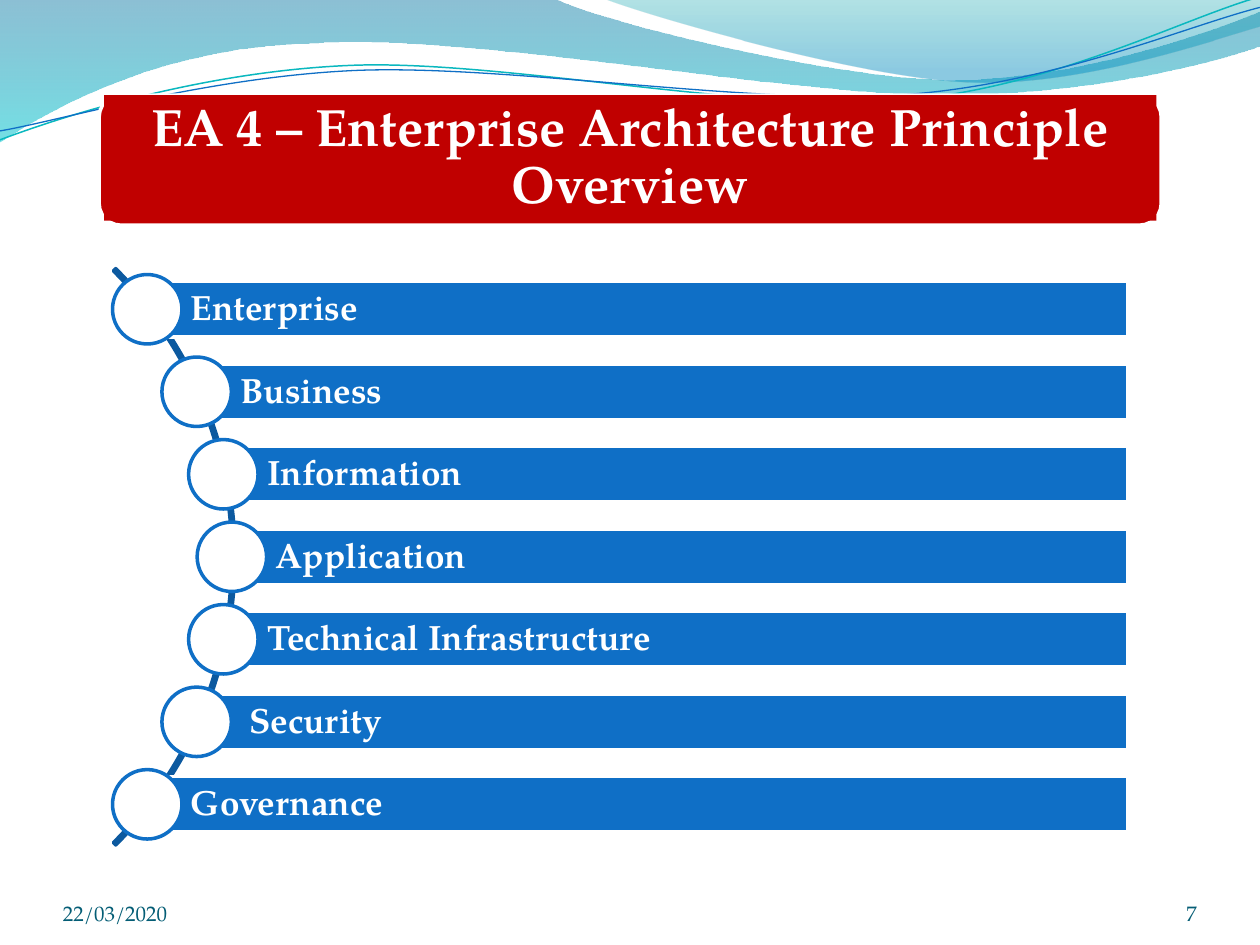
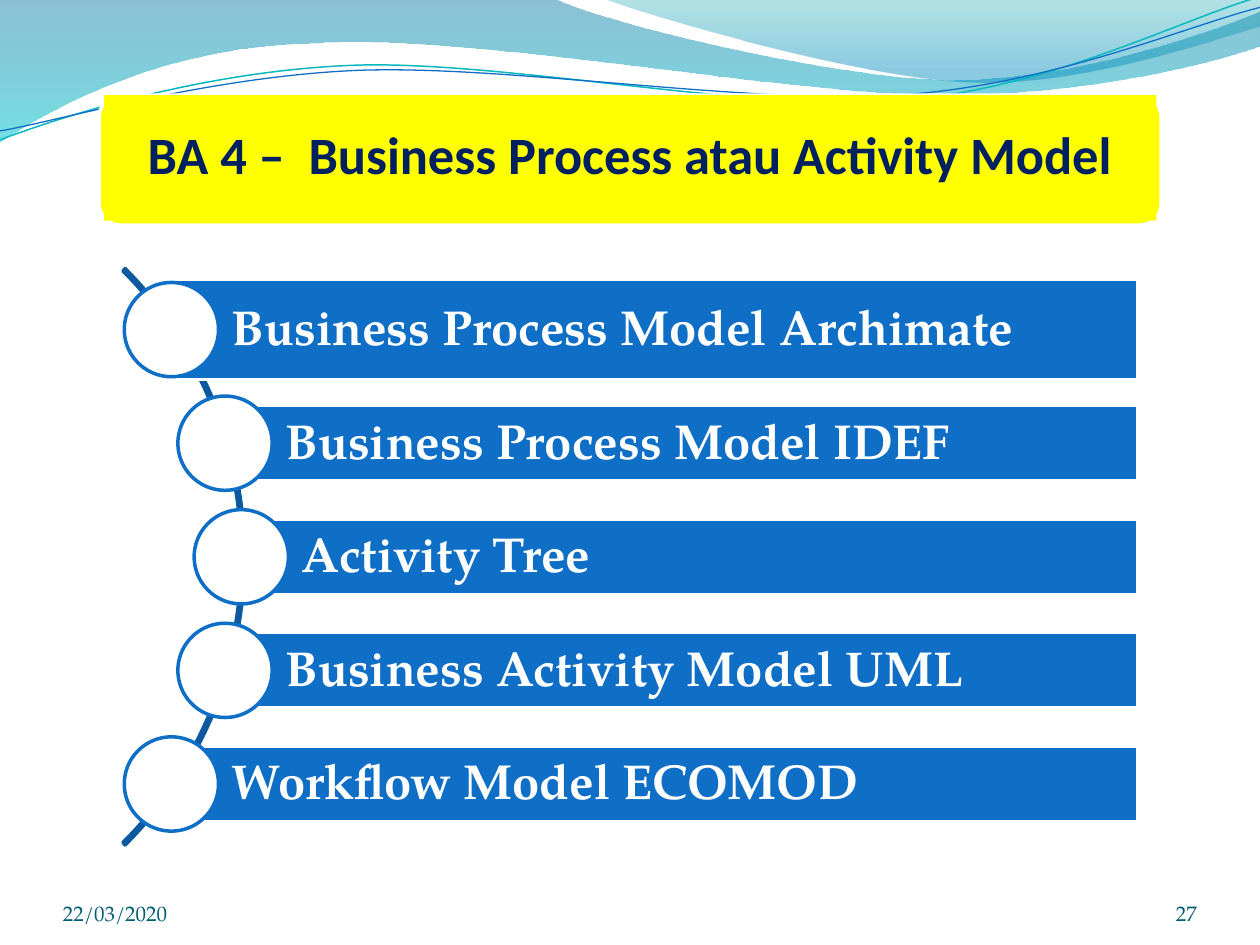
from dataclasses import dataclass
from math import sqrt

from lxml import etree
from pptx import Presentation
from pptx import util as u
from pptx.dml.color import RGBColor as Rgb
from pptx.enum import shapes, text
from pptx.oxml.ns import qn


@dataclass(frozen=True)
class Theme:
    serif: str = "TeX Gyre Pagella"
    sans: str = "Calibri"
    white: str = "FFFFFF"
    blue: str = "0F6FC6"
    arc: str = "0C599F"
    foot: str = "045D75"
    red: str = "C00000"
    yellow: str = "FFFF00"
    navy: str = "002060"
    head: int = 30
    small: int = 12
    edge: int = 2


look = Theme()
kind = shapes.MSO_SHAPE
mid, low = text.MSO_ANCHOR.MIDDLE, text.MSO_ANCHOR.BOTTOM
left, center, right = text.PP_ALIGN.LEFT, text.PP_ALIGN.CENTER, text.PP_ALIGN.RIGHT


def write(shape, words, size, color, font=look.serif, bold=True,
          align=left, anchor=mid, pad=0, indent=None, lead=0.9):
    frame = shape.text_frame
    frame.word_wrap = True
    frame.auto_size = text.MSO_AUTO_SIZE.NONE
    frame.vertical_anchor = anchor
    frame.margin_top = frame.margin_right = frame.margin_bottom = u.Cm(pad)
    frame.margin_left = u.Cm(pad if indent is None else indent)
    para = frame.paragraphs[0]
    para.alignment, para.line_spacing = align, lead
    run = para.add_run()
    run.text = words
    run.font.name, run.font.size, run.font.bold = font, u.Pt(size), bold
    run.font.color.rgb = Rgb.from_string(color)


def draw(slide, form, box, fill, line):
    shape = slide.shapes.add_shape(form, *map(u.Cm, box))
    shape.shadow.inherit = False
    if fill:
        shape.fill.solid()
        shape.fill.fore_color.rgb = Rgb.from_string(fill)
    else:
        shape.fill.background()
    shape.line.color.rgb = Rgb.from_string(line)
    shape.line.width = u.Pt(look.edge)
    return shape


deck = Presentation()
deck.slide_width, deck.slide_height = u.Cm(25.4), u.Cm(19.05)
plain = deck.slide_layouts[5]
pages = [deck.slides.add_slide(plain) for _ in range(2)]

# Waves: two numbers make a straight step, six make a curve (cm).
# Bands list gradient stops as (place, colour, opacity); strands have a line.
waves = [
    dict(stops=[(0, "0074A1", 45), (1, "00C6CF", 55)], steps=[
        (0, 0), (11.18, -0.03),
        (12.09, 0.43, 16.87, 1.6, 19.25, 1.6),
        (21.67, 1.6, 24.33, 0.66, 25.4, 0.23), (25.43, 0.91),
        (24.97, 1.12, 22.1, 1.93, 18.95, 1.91),
        (15.8, 1.91, 9.7, 0.71, 6.53, 0.86),
        (3.28, 0.91, 1.17, 2.11, -0.03, 2.87)]),
    dict(stops=[(0, "00A1A9", 30), (0.8, "008BBF", 45)], steps=[
        (12.17, -0.03),
        (12.93, 0.28, 17.32, 1.57, 19.53, 1.65),
        (21.74, 1.75, 24.41, 0.81, 25.4, 0.53), (25.4, 0)]),
    dict(line=("0AB8BF", 0.85), steps=[
        (0, 2.82),
        (1.22, 2.36, 4.01, 1.45, 7.04, 1.32),
        (10.03, 1.19, 15.06, 2.26, 18.11, 2.03),
        (21.16, 1.8, 23.83, 0.38, 25.35, -0.05)]),
    dict(line=(look.blue, 0.75), steps=[
        (0, 2.64),
        (1.19, 2.44, 4.17, 1.55, 7.19, 1.42),
        (10.24, 1.3, 15.16, 2.13, 18.21, 1.91),
        (21.23, 1.7, 23.9, 0.53, 25.4, 0.15)]),
]
grain = 1000
for wave in waves:
    steps = wave["steps"]
    dots = [(s[i] * grain, s[i + 1] * grain) for s in steps for i in range(0, len(s), 2)]
    pen = pages[0].shapes.build_freeform(*dots[0], scale=u.Cm(1) / grain)
    pen.add_line_segments(dots[1:], close="stops" in wave)
    shape = pen.convert_to_shape()
    shape.shadow.inherit = False
    # Join each three points of a curved step into one Bezier curve
    legs = iter(list(shape.element.iter(qn("a:lnTo"))))
    for step in steps[1:]:
        leg = next(legs)
        if len(step) == 6:
            curve = etree.Element(qn("a:cubicBezTo"))
            leg.addprevious(curve)
            for part in (leg, next(legs), next(legs)):
                curve.append(part[0])
                part.getparent().remove(part)
    if "stops" in wave:
        shape.line.fill.background()
        shape.fill.gradient()
        shape.fill.gradient_angle = 270
        for stop, (place, color, _) in zip(shape.fill.gradient_stops, wave["stops"]):
            stop.position, stop.color.rgb = place, Rgb.from_string(color)
        tints = shape.element.spPr.iter(qn("a:srgbClr"))
        for tint, (_, _, clear) in zip(tints, wave["stops"]):
            etree.SubElement(tint, qn("a:alpha"), val=str(clear * 1000))
    else:
        color, width = wave["line"]
        shape.fill.background()
        shape.line.color.rgb = Rgb.from_string(color)
        shape.line.width = u.Pt(width)
    # The master holds the waves for both slides
    deck.slide_master.shapes.element.append(shape.element)

# What each slide says, and the measures of its list (cm)
plans = [
    dict(title="EA 4 – Enterprise Architecture Principle Overview", num="7",
         fill=look.red, ink=look.white, font=look.serif,
         arc=-11.69, span=9.98, dot=1.4, bar=1.12, first=1.12, end=22.73,
         size=20, pad=0.15, indent=0.88,
         rows=["Enterprise", "Business", "Information", "Application",
               "Technical Infrastructure", " Security", "Governance"]),
    dict(title="BA 4 –  Business Process atau Activity Model", num="27",
         fill=look.yellow, ink=look.navy, font=look.sans,
         arc=-11.5, span=9.16, dot=1.9, bar=1.52, first=2.01, end=22.94,
         size=28, pad=0.2, indent=1.22,
         rows=["Business Process Model Archimate", "Business Process Model IDEF",
               "Activity Tree", "Business Activity Model UML",
               "Workflow Model ECOMOD"]),
]
ring, top, reach = 16.43, 3.01, 8.15

for page, plan in zip(pages, plans):
    # Footer
    for x, wide, words, align in ((1.27, 5.92, "22/03/2020", left),
                                  (22.02, 2.11, plan["num"], right)):
        box = page.shapes.add_textbox(*map(u.Cm, (x, 17.65, wide, 1.02)))
        write(box, words, look.small, look.foot, bold=False,
              align=align, anchor=low, lead=1.0)

    # Title on its panel
    draw(page, kind.ROUNDED_RECTANGLE, (2, 1.92, 21.41, 2.62), plan["fill"], look.white)
    title = page.shapes.title
    title.left, title.top, title.width, title.height = map(u.Cm, (2.1, 1.92, 21.21, 2.53))
    title.fill.solid()
    title.fill.fore_color.rgb = Rgb.from_string(plan["fill"])
    write(title, plan["title"], look.head, plan["ink"], font=plan["font"],
          align=center, pad=0.3)
    page.shapes.element.append(title.element)

    # Arc behind the list
    arc = draw(page, kind.BLOCK_ARC, (plan["arc"], top, ring, ring), None, look.arc)
    for i, value in enumerate((189, 27, 0.004)):
        arc.adjustments[i] = value

    # Bars and dots, each centred on a point of the arc
    hub, axis = plan["arc"] + ring / 2, top + ring / 2
    for i, words in enumerate(plan["rows"]):
        rise = plan["span"] * (i / (len(plan["rows"]) - 1) - 0.5)
        x, y = hub + sqrt(reach ** 2 - rise ** 2), axis + rise
        tall, dot = plan["bar"] if i else plan["first"], plan["dot"]
        bar = draw(page, kind.RECTANGLE, (x, y - tall / 2, plan["end"] - x, tall),
                   look.blue, look.white)
        write(bar, words, plan["size"], look.white, pad=plan["pad"], indent=plan["indent"])
        draw(page, kind.OVAL, (x - dot / 2, y - dot / 2, dot, dot), look.white, look.blue)

deck.save("out.pptx")
